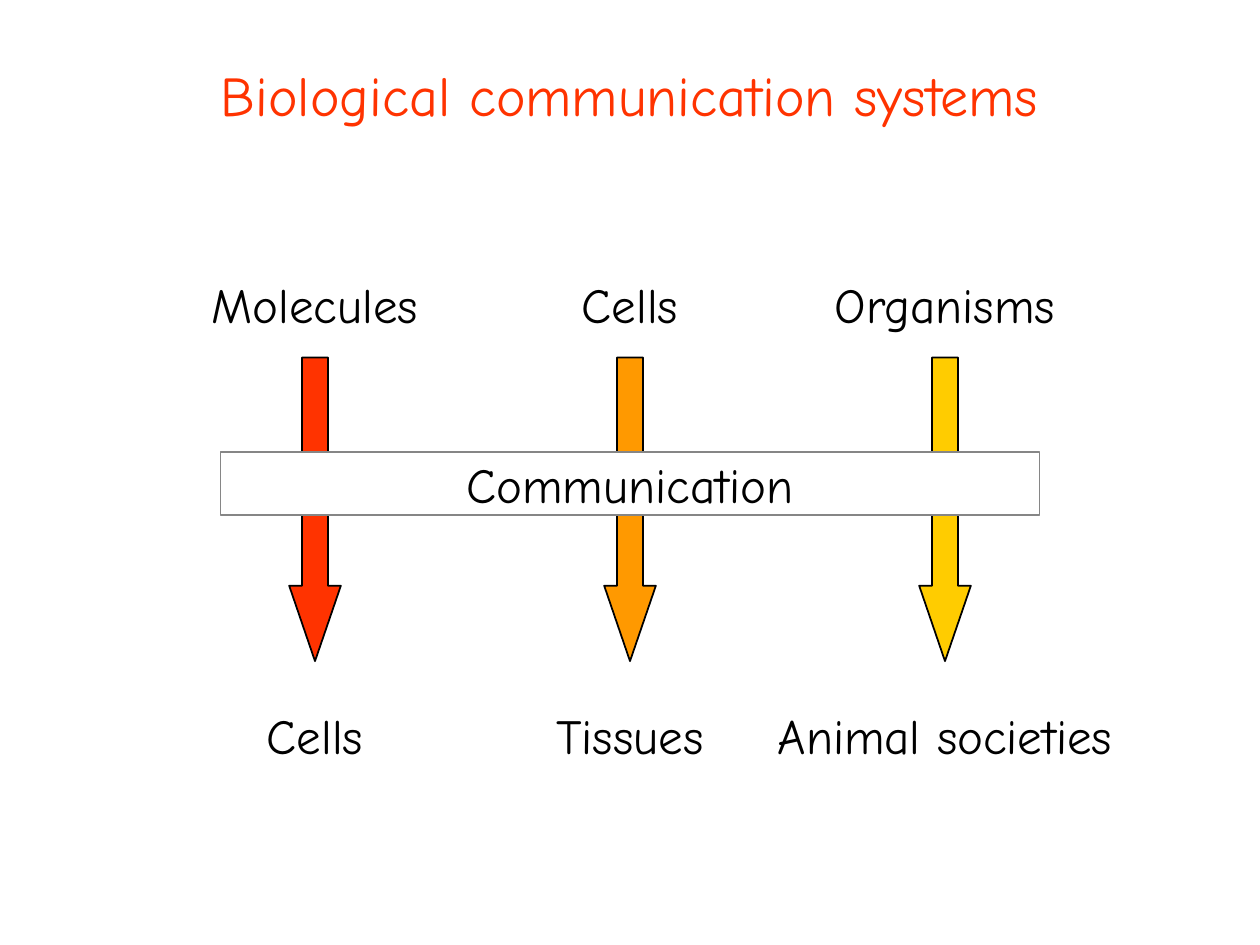
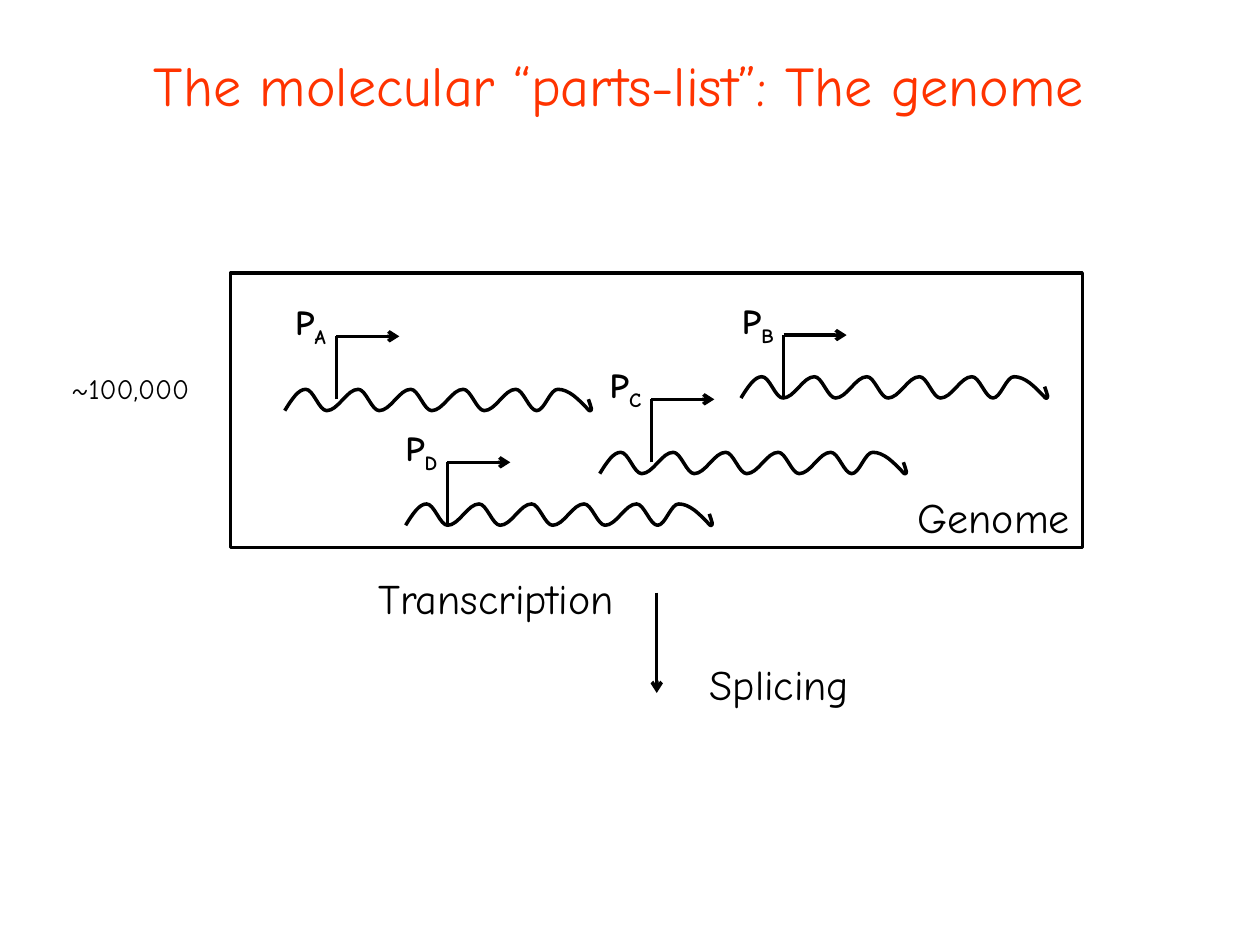
import math

import lxml.etree
import pptx
import pptx.dml.color
import pptx.enum.shapes
import pptx.enum.text
import pptx.oxml.ns
import pptx.util

Pt = pptx.util.Pt
RGB = pptx.dml.color.RGBColor
SHAPE = pptx.enum.shapes.MSO_SHAPE
ALIGN = pptx.enum.text.PP_ALIGN
ANCHOR = pptx.enum.text.MSO_ANCHOR
qn = pptx.oxml.ns.qn

FONT = "Comic Neue"
RED = RGB(0xFF, 0x33, 0x00)
ORANGE = RGB(0xFF, 0x99, 0x00)
YELLOW = RGB(0xFF, 0xCC, 0x00)
BLACK = RGB(0, 0, 0)
WHITE = RGB(0xFF, 0xFF, 0xFF)
GREY = RGB(0x86, 0x86, 0x86)

# Slide 1: (source, its width, result, its width, arrow colour)
SYSTEMS_TITLE = "Biological communication systems"
SYSTEMS = [
    ("Molecules", 132.5, "Cells", 69.8, RED),
    ("Cells", 69.8, "Tissues", 98.6, ORANGE),
    ("Organisms", 141.1, "Animal societies", 205.9, YELLOW),
]
MEDIUM = "Communication"
COLUMN_STEP = 180
ARROW_WIDTH = 29.5

# Slide 2: (gene, wave start, promoter foot)
GENOME_TITLE = "The molecular “parts-list”: The genome"
GENES = [
    ("D", (231.8, 300.2), (255.6, 300.2)),
    ("A", (162.7, 234.7), (192.2, 228.2)),
    ("B", (423.4, 227.5), (447.8, 227.5)),
    ("C", (342.7, 270.7), (372.2, 264.2)),
]
LABELS = [  # text, size, box, fill
    ("~100,000", 16, (21.6, 198.7, 105.8, 46.8), None),
    ("Transcription", 24, (239.8, 329.8, 87.1, 23), None),
    ("Splicing", 24, (401.8, 379.4, 87.1, 23), WHITE),
]
PROMOTER_SIZE = 36
WAVE_HEIGHT = 12.2
WAVE_TURNS = [0, 12, 24, 42, 54, 72, 84, 102, 114, 132, 144, 156, 174]
WAVE_HOOK = [(175, 0), (175.2, 1.2), (174.5, 3.6), (173.5, 6.5)]
SEGMENT_STEPS = 8


def write_text(shape, text, *, size, color=BLACK, align=ALIGN.CENTER,
               anchor=ANCHOR.MIDDLE, wrap=True, bold=False, subscript=""):
    frame = shape.text_frame
    frame.auto_size = pptx.enum.text.MSO_AUTO_SIZE.NONE
    frame.word_wrap = wrap
    frame.vertical_anchor = anchor
    paragraph = frame.paragraphs[0]
    paragraph.alignment = align
    for part in filter(None, (text, subscript)):
        run = paragraph.add_run()
        run.text = part
        run.font.name = FONT
        run.font.size = Pt(size)
        run.font.bold = bold
        run.font.color.rgb = color
    if subscript:
        run.font._element.set("baseline", "-25000")


def add_titled_slide(deck, title, left, top):
    slide = deck.slides.add_slide(deck.slide_layouts[5])
    heading = slide.shapes.title
    heading.left, heading.top = Pt(left), Pt(top)
    heading.width, heading.height = Pt(648), Pt(60)
    write_text(heading, title, size=32, color=RED)
    return slide


def add_label(slide, text, box, *, fill=None, **text_format):
    label = slide.shapes.add_textbox(*map(Pt, box))
    if fill is not None:
        label.fill.solid()
        label.fill.fore_color.rgb = fill
    write_text(label, text, **text_format)


def style_shape(shape, fill, line, width):
    shape.shadow.inherit = False
    if fill is None:
        shape.fill.background()
    else:
        shape.fill.solid()
        shape.fill.fore_color.rgb = fill
    shape.line.color.rgb = line
    shape.line.width = Pt(width)


def add_box(slide, kind, box, fill, line, width):
    shape = slide.shapes.add_shape(kind, *map(Pt, box))
    style_shape(shape, fill, line, width)
    return shape


def add_line(slide, start, end, arrow=False):
    line = slide.shapes.add_connector(
        pptx.enum.shapes.MSO_CONNECTOR.STRAIGHT, *map(Pt, (*start, *end)))
    line.line.color.rgb = BLACK
    line.line.width = Pt(2)
    if arrow:
        lxml.etree.SubElement(line.get_or_add_ln(), qn("a:tailEnd"), type="arrow")
    lxml.etree.SubElement(line._element.spPr, qn("a:effectLst"))


def wave_points():
    """Offsets (right, up) along a wave that swings between its turns."""
    points = [(0, 0)]
    last = len(WAVE_TURNS) - 2
    for index, (start, end) in enumerate(zip(WAVE_TURNS, WAVE_TURNS[1:])):
        for step in range(1, SEGMENT_STEPS + 1):
            part = step / SEGMENT_STEPS
            if index == 0:
                height = math.sin(part * math.pi / 2)
            elif index == last:
                height = math.cos(part * math.pi / 2)
            else:
                height = (1 - math.cos((index + part) * math.pi)) / 2
            points.append((start + (end - start) * part, height * WAVE_HEIGHT))
    return points + WAVE_HOOK


def add_wave(slide, left, bottom):
    points = [(Pt(left + right), Pt(bottom - up)) for right, up in wave_points()]
    builder = slide.shapes.build_freeform(*points[0], scale=1.0)
    builder.add_line_segments(points[1:], close=False)
    style_shape(builder.convert_to_shape(), None, BLACK, 2)


def add_promoter(slide, gene, x, foot):
    top = foot - PROMOTER_SIZE
    add_line(slide, (x, foot), (x, top))
    add_line(slide, (x, top), (x + PROMOTER_SIZE, top), arrow=True)
    add_label(slide, "P", (x - 41.8, foot - 59.8, 54, 34.6), size=20, bold=True,
              anchor=ANCHOR.TOP, subscript=gene)


def build_systems(deck):
    slide = add_titled_slide(deck, SYSTEMS_TITLE, 36, 24)
    for column, (source, source_width, result, result_width, color) in enumerate(SYSTEMS, 1):
        center = column * COLUMN_STEP
        for text, width, top in ((source, source_width, 153.4), (result, result_width, 399.6)):
            add_label(slide, text, (center - width / 2, top, width, 41), size=28, wrap=False)
        arrow = add_box(slide, SHAPE.DOWN_ARROW,
                        (center - ARROW_WIDTH / 2, 204.3, ARROW_WIDTH, 173.5), color, BLACK, 1)
        arrow.adjustments[1] = 1.46
    bar = add_box(slide, SHAPE.RECTANGLE, (126, 258.3, 468, 36), WHITE, GREY, 1)
    write_text(bar, MEDIUM, size=28)


def build_genome(deck):
    slide = add_titled_slide(deck, GENOME_TITLE, 30, 18)
    for text, size, box, fill in LABELS:
        add_label(slide, text, box, size=size, fill=fill, wrap=False)
    for gene, wave_start, promoter_foot in GENES:
        add_wave(slide, *wave_start)
        add_promoter(slide, gene, *promoter_foot)
    genome = add_box(slide, SHAPE.RECTANGLE, (131.8, 156, 486.7, 157), None, BLACK, 2)
    write_text(genome, "Genome", size=24, align=ALIGN.RIGHT, anchor=ANCHOR.BOTTOM)
    add_line(slide, (375.3, 338.6), (375.3, 396), arrow=True)


def main():
    deck = pptx.Presentation()
    deck.slide_width, deck.slide_height = Pt(720), Pt(540)
    build_systems(deck)
    build_genome(deck)
    deck.save("out.pptx")


if __name__ == "__main__":
    main()
